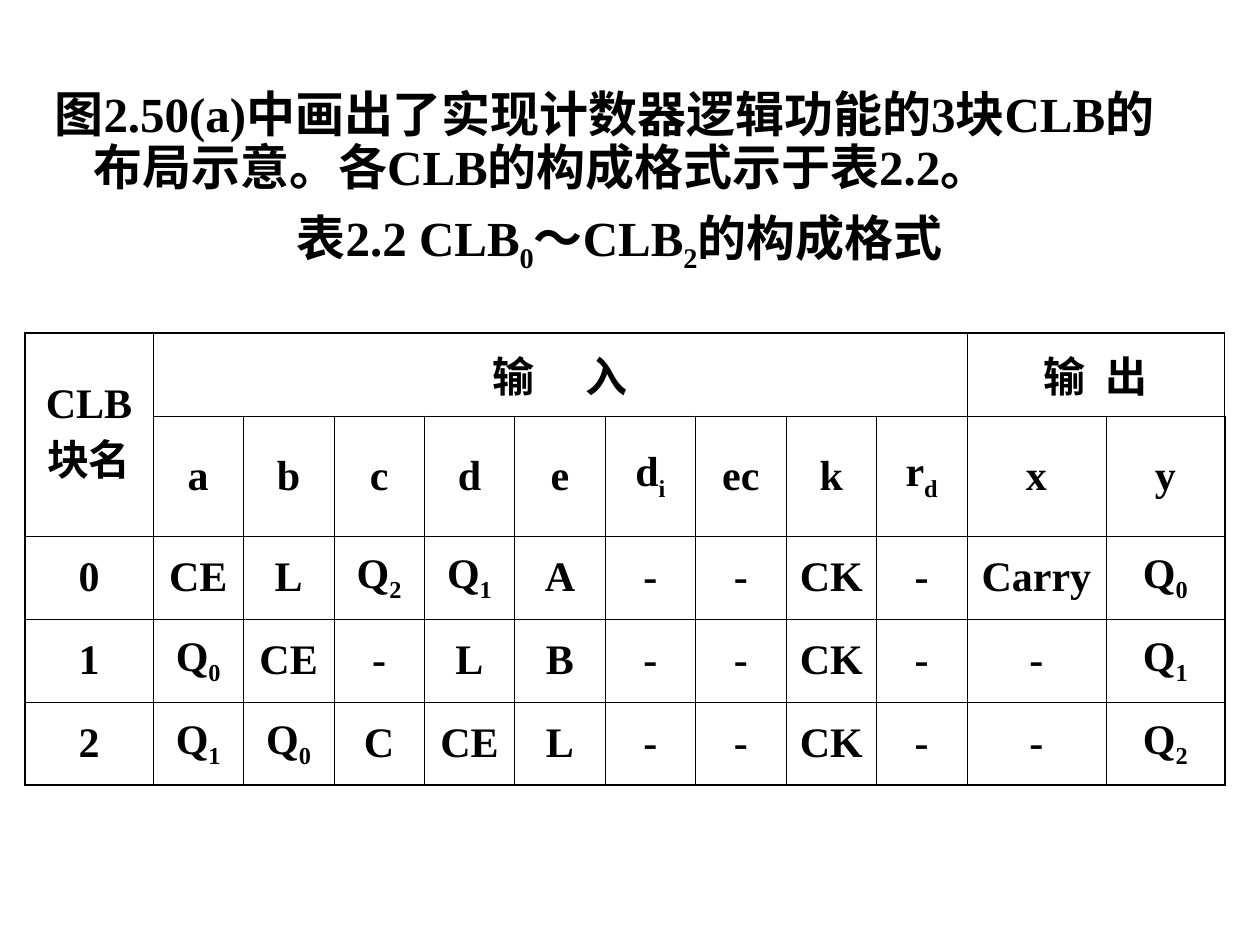
from lxml.etree import SubElement
from pptx import Presentation
from pptx.dml.color import RGBColor
from pptx.enum.lang import MSO_LANGUAGE_ID as Lang
from pptx.enum.text import MSO_ANCHOR as Anchor, MSO_AUTO_SIZE as AutoSize, PP_ALIGN as Align
from pptx.oxml.ns import qn
from pptx.util import Pt

# Content: "_" makes the next character a subscript
INTRO = "图2.50(a)中画出了实现计数器逻辑功能的3块CLB的布局示意。各CLB的构成格式示于表2.2。"
CAPTION = "表2.2 CLB_0～CLB_2的构成格式"
BLOCK_HEAD = ["CLB", "块名"]
GROUPS = [("输", "入", 1, 9, 24), ("输", "出", 10, 11, 6)]  # first, last column, extra gap in pt
PORTS = "a b c d e d_i ec k r_d x y".split()
BLOCKS = [
    "0 CE L Q_2 Q_1 A - - CK - Carry Q_0".split(),
    "1 Q_0 CE - L B - - CK - - Q_1".split(),
    "2 Q_1 Q_0 C CE L - - CK - - Q_2".split(),
]

# Layout in px, 126 to the inch
INTRO_BOX = (42, 84, 1155, 200)
TABLE_LEFT, TABLE_TOP = 25, 333
COLUMNS = [128] + [814 / 9] * 9 + [139, 119]
ROWS = [83, 120, 83, 83, 83]
INDENT = 39
FONT, BLACK = "Times New Roman", "000000"
INTRO_SIZE, CELL_SIZE = 28, 24
OUTER, INNER = 1.08, 0.45


def px(value):
    return round(value * 914400 / 126)


def color(value):
    return RGBColor.from_string(value)


def add_run(paragraph, text, size, **attributes):
    run = paragraph.add_run()
    run.text = text
    font = run.font
    font.name, font.size, font.bold = FONT, Pt(size), True
    font.color.rgb = color(BLACK)
    font.language_id = Lang.SIMPLIFIED_CHINESE
    for key, value in attributes.items():
        run._r.get_or_add_rPr().set(key, str(value))


def add_text(paragraph, text, size):
    start, *rest = text.split("_")
    add_run(paragraph, start, size)
    for part in rest:
        add_run(paragraph, part[0], size, baseline=-25000)
        if part[1:]:
            add_run(paragraph, part[1:], size)


def cell_paragraph(cell, first=True):
    frame = cell.text_frame
    paragraph = frame.paragraphs[0] if first else frame.add_paragraph()
    paragraph.alignment = Align.CENTER
    return paragraph


def set_borders(cell, widths):
    properties = cell._tc.get_or_add_tcPr()
    for side, width in widths.items():
        line = SubElement(properties, qn(f"a:ln{side}"), w=str(Pt(width)))
        fill = SubElement(line, qn("a:solidFill"))
        SubElement(fill, qn("a:srgbClr"), val=BLACK)


presentation = Presentation()
presentation.slide_width, presentation.slide_height = px(1260), px(945)
slide = presentation.slides.add_slide(presentation.slide_layouts[0])
title = slide.shapes.title._element
title.getparent().remove(title)

# Introduction and table caption
intro = slide.placeholders[1]
intro.left, intro.top, intro.width, intro.height = map(px, INTRO_BOX)
frame = intro.text_frame
frame.word_wrap, frame.auto_size = True, AutoSize.NONE
frame.vertical_anchor = Anchor.TOP
lines = [(INTRO, Align.LEFT, 0), (CAPTION, Align.CENTER, 7)]
for index, (text, alignment, before) in enumerate(lines):
    paragraph = frame.add_paragraph() if index else frame.paragraphs[0]
    paragraph.alignment = alignment
    paragraph.line_spacing, paragraph.space_before = 0.9, Pt(before)
    layout = paragraph._p.get_or_add_pPr()
    layout.set("marL", str(px(INDENT)))
    layout.set("indent", str(-px(INDENT)))
    add_text(paragraph, text, INTRO_SIZE)

# Table grid
table = slide.shapes.add_table(
    len(ROWS), len(COLUMNS), px(TABLE_LEFT), px(TABLE_TOP), px(sum(COLUMNS)), px(sum(ROWS))
).table
table.first_row = table.horz_banding = False
for column, width in zip(table.columns, COLUMNS):
    column.width = px(width)
for row, height in zip(table.rows, ROWS):
    row.height = px(height)

last_row, last_column = len(ROWS) - 1, len(COLUMNS) - 1
for r in range(len(ROWS)):
    for c in range(len(COLUMNS)):
        cell = table.cell(r, c)
        cell.vertical_anchor = Anchor.MIDDLE
        set_borders(cell, {
            "L": INNER if c else OUTER,
            "R": OUTER if c == last_column else INNER,
            "T": INNER if r else OUTER,
            "B": OUTER if r == last_row else INNER,
        })
        cell.fill.background()

# Merged headings
block_cell = table.cell(0, 0)
block_cell.merge(table.cell(1, 0))
for index, text in enumerate(BLOCK_HEAD):
    add_text(cell_paragraph(block_cell, index == 0), text, CELL_SIZE)
for first, second, start, end, gap in GROUPS:
    group_cell = table.cell(0, start)
    group_cell.merge(table.cell(0, end))
    heading = cell_paragraph(group_cell)
    add_run(heading, first, CELL_SIZE)
    add_run(heading, " ", CELL_SIZE, spc=gap * 100)
    add_run(heading, second, CELL_SIZE)

# Port names and blocks
for c, port in enumerate(PORTS, 1):
    add_text(cell_paragraph(table.cell(1, c)), port, CELL_SIZE)
for r, block in enumerate(BLOCKS, 2):
    for c, signal in enumerate(block):
        add_text(cell_paragraph(table.cell(r, c)), signal, CELL_SIZE)

presentation.save("out.pptx")
